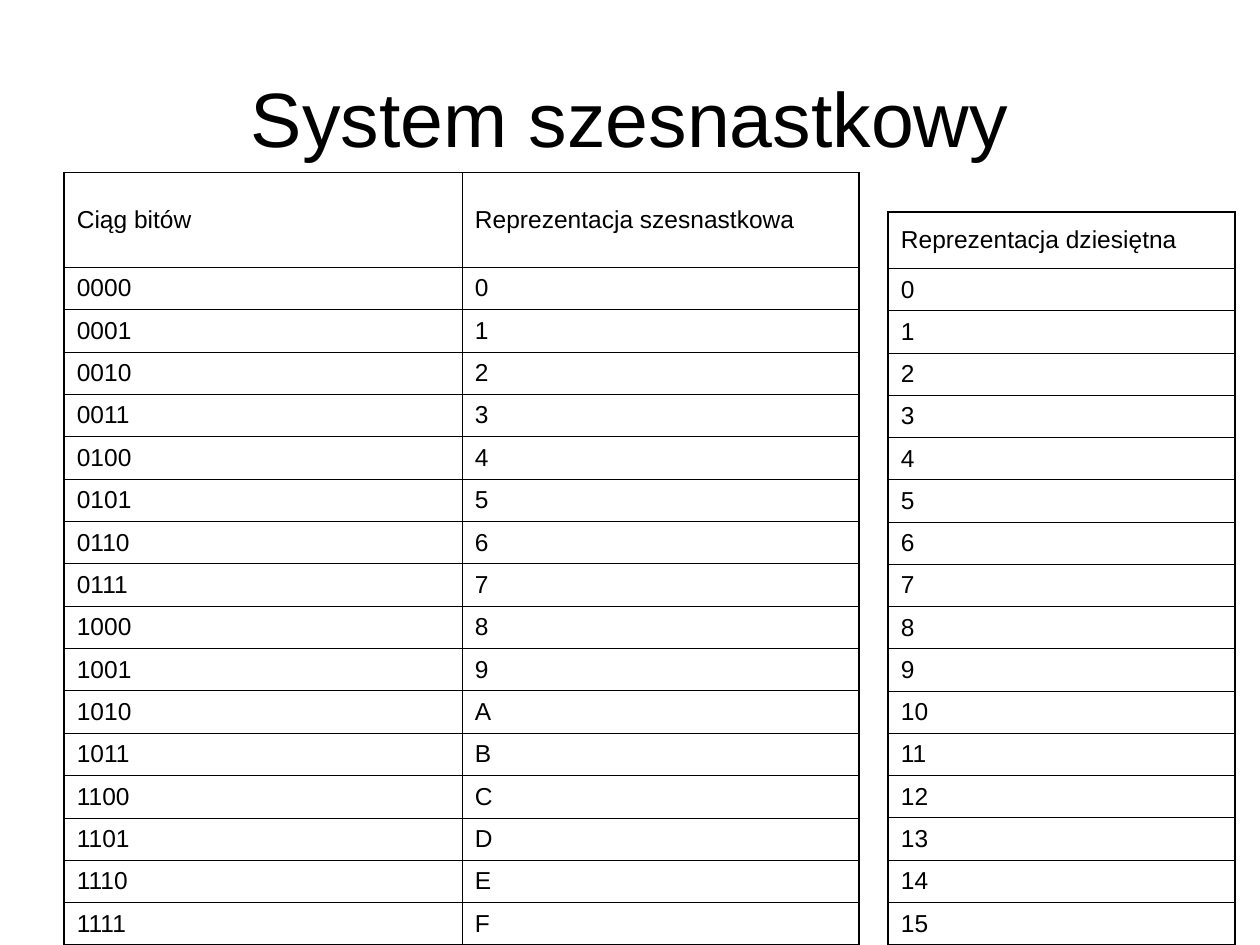
from lxml import etree
from pptx import Presentation
from pptx.dml.color import RGBColor
from pptx.enum import text
from pptx.oxml import ns
from pptx.util import Inches, Pt

# Content
TITLE = "System szesnastkowy"
BIT_ROWS = [("Ciąg bitów", "Reprezentacja szesnastkowa")]
BIT_ROWS += [(f"{n:04b}", f"{n:X}") for n in range(16)]
DECIMAL_ROWS = [("Reprezentacja dziesiętna",)]
DECIMAL_ROWS += [(str(n),) for n in range(16)]

# Rows, left, top, column widths, header height
TABLES = [
    (BIT_ROWS, 0.51, 1.37, (3.16, 3.15), 0.75),
    (DECIMAL_ROWS, 7.05, 1.68, (2.75,), 0.45),
]
SLIDE_W, SLIDE_H = 10, 7.5
FONT, BLACK = "Arial", "000000"
OUTER, INNER = 1.08, 0.45


def add_text(p, value, size, color=BLACK):
    r = p.add_run()
    r.text = value
    r.font.name = FONT
    r.font.size = Pt(size)
    r.font.color.rgb = RGBColor.from_string(color)


def add_border(cell, side, width, color=BLACK):
    tc_pr = cell._tc.get_or_add_tcPr()
    ln = etree.SubElement(tc_pr, ns.qn(f"a:ln{side}"), w=str(Pt(width)))
    fill = etree.SubElement(ln, ns.qn("a:solidFill"))
    etree.SubElement(fill, ns.qn("a:srgbClr"), val=color)


def add_grid(s, rows, left, top, widths, header):
    body = (SLIDE_H - top - header) / (len(rows) - 1)
    table = s.shapes.add_table(
        len(rows), len(widths), Inches(left), Inches(top),
        Inches(sum(widths)), Inches(SLIDE_H - top)).table
    table.first_row = table.horz_banding = False
    for column, width in zip(table.columns, widths):
        column.width = Inches(width)

    last_row, last_col = len(rows) - 1, len(widths) - 1
    for i, values in enumerate(rows):
        table.rows[i].height = Inches(body if i else header)
        for j, value in enumerate(values):
            cell = table.cell(i, j)
            cell.vertical_anchor = text.MSO_ANCHOR.MIDDLE
            add_text(cell.text_frame.paragraphs[0], value, 14)
            # Thick outline, thin inner rules
            edges = {"L": j == 0, "R": j == last_col,
                     "T": i == 0, "B": i == last_row}
            for side, outside in edges.items():
                add_border(cell, side, OUTER if outside else INNER)
            cell.fill.background()


prs = Presentation()
prs.slide_width, prs.slide_height = Inches(SLIDE_W), Inches(SLIDE_H)
s = prs.slides.add_slide(prs.slide_layouts[5])

# Title
title = s.shapes.title
title.left, title.top = Inches(0.5), Inches(0.3)
title.width, title.height = Inches(9), Inches(1.25)
tf = title.text_frame
tf.vertical_anchor = text.MSO_ANCHOR.MIDDLE
p = tf.paragraphs[0]
p.alignment = text.PP_ALIGN.CENTER
add_text(p, TITLE, 44)

# Tables
for grid in TABLES:
    add_grid(s, *grid)

prs.save("out.pptx")
